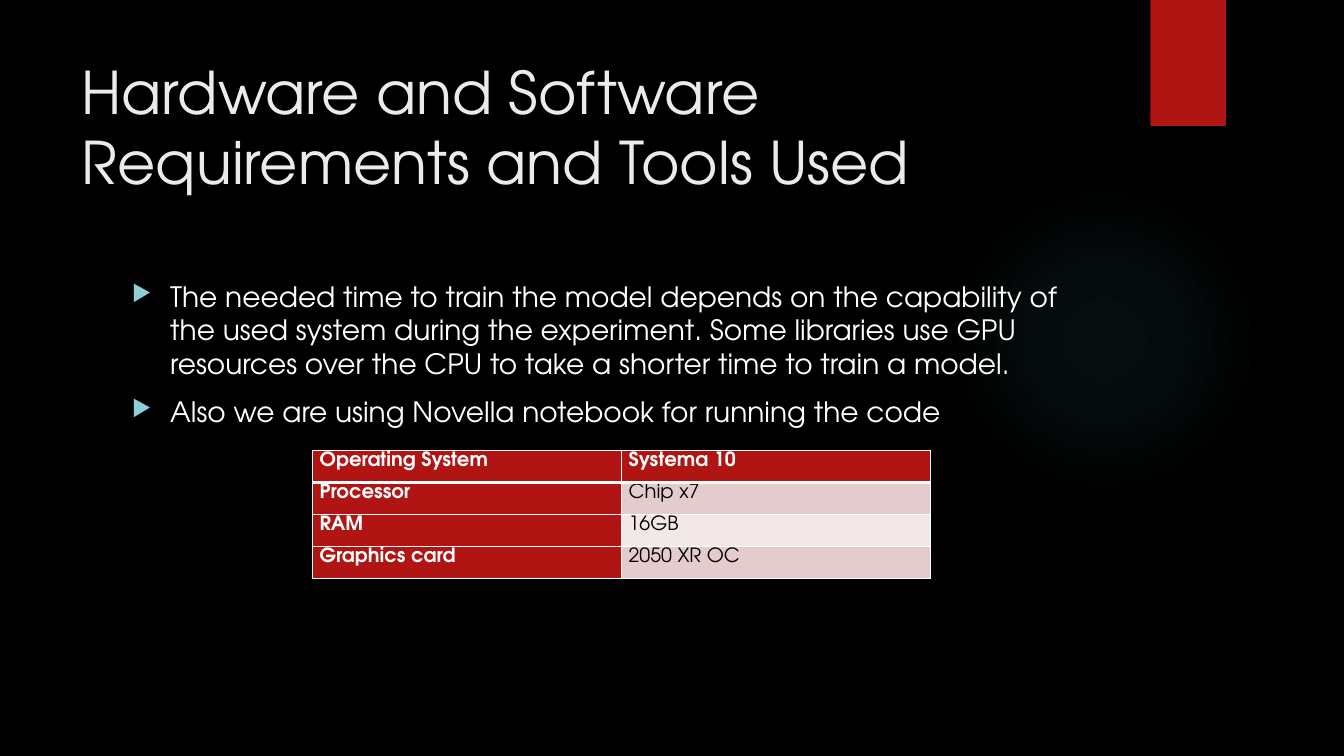
from pptx import Presentation
from pptx.dml.color import RGBColor as Rgb
from pptx.enum.shapes import MSO_SHAPE as Kind
from pptx.enum.text import MSO_ANCHOR as Anchor
from pptx.oxml import parse_xml as to_xml
from pptx.oxml.ns import nsdecls
from pptx.util import Inches, Pt

FACE = "TeX Gyre Adventor"
HUES = {
    "back": "000000", "red": "B01513", "glow": "50B9C1", "title": "EBEBEB",
    "white": "FFFFFF", "black": "000000", "mark": "8AD0D6",
    "dark": "E4CCCC", "light": "F2E8E7",
}
TITLE = "Hardware and Software Requirements and Tools Used"
POINTS = [
    "The needed time to train the model depends on the capability of the used "
    "system during the experiment. Some libraries use GPU resources over the "
    "CPU to take a shorter time to train a model.",
    "Also we are using Novella notebook for running the code",
]
ROWS = [
    ("Operating System", "Systema 10"),
    ("Processor", "Chip x7"),
    ("RAM", "16GB"),
    ("Graphics card", "2050 XR OC"),
]


def rgb(hue):
    return Rgb.from_string(HUES[hue])


def style(item, form):
    for key, value in form.items():
        setattr(item, key, value)


def write(para, text, size, hue, bold=False):
    run = para.add_run()
    run.text = text
    style(run.font, {"name": FACE, "size": Pt(size), "bold": bold})
    run.font.color.rgb = rgb(hue)


def add_plain(slide, kind, box):
    shape = slide.shapes.add_shape(kind, *map(Inches, box))
    shape.shadow.inherit = False
    shape.line.fill.background()
    return shape


def add_glow(slide, box):
    shape = add_plain(slide, Kind.OVAL, box)
    shape.fill.gradient()
    grad = shape.fill._xPr.find("{*}gradFill")
    stops = "".join(
        f'<a:gs pos="{pos}000"><a:srgbClr val="{HUES["glow"]}">'
        f'<a:alpha val="{alpha}000"/></a:srgbClr></a:gs>'
        for pos, alpha in ((0, 7), (36, 6), (69, 0), (100, 0))
    )
    fill = to_xml(
        f'<a:gradFill {nsdecls("a")}><a:gsLst>{stops}</a:gsLst>'
        '<a:path path="circle"><a:fillToRect l="50000" t="50000" '
        'r="50000" b="50000"/></a:path></a:gradFill>'
    )
    grad.getparent().replace(grad, fill)


def add_tab(slide, box):
    shape = add_plain(slide, Kind.RECTANGLE, box)
    shape.fill.solid()
    shape.fill.fore_color.rgb = rgb("red")


def add_text(slide, box):
    frame = slide.shapes.add_textbox(*map(Inches, box)).text_frame
    style(frame, {"word_wrap": True, "vertical_anchor": Anchor.TOP})
    return frame


def add_title(slide, box):
    write(add_text(slide, box).paragraphs[0], TITLE, 42, "title")


def add_mark(para):
    props = para._p.get_or_add_pPr()
    indent = Inches(0.38)
    props.set("marL", str(indent))
    props.set("indent", str(-indent))
    for part in (
        f'buClr {nsdecls("a")}><a:srgbClr val="{HUES["mark"]}"/></a:buClr',
        f'buSzPct {nsdecls("a")} val="80000"/',
        f'buChar {nsdecls("a")} char="▶"/',
    ):
        props.append(to_xml(f"<a:{part}>"))


def add_points(slide, box):
    frame = add_text(slide, box)
    for num, text in enumerate(POINTS):
        para = frame.add_paragraph() if num else frame.paragraphs[0]
        para.space_before = Pt(10)
        add_mark(para)
        write(para, text, 20, "white")


def add_edges(cell, row):
    props = cell._tc.get_or_add_tcPr()
    wide = {0: "B", 1: "T"}.get(row)
    for side in "LRTB":
        width = Pt(3 if side == wide else 1)
        props.append(to_xml(
            f'<a:ln{side} {nsdecls("a")} w="{width}"><a:solidFill>'
            f'<a:srgbClr val="{HUES["white"]}"/></a:solidFill></a:ln{side}>'
        ))


def fill_cell(cell, text, row, col):
    head = row == 0 or col == 0
    add_edges(cell, row)
    cell.fill.solid()
    band = "dark" if row % 2 else "light"
    cell.fill.fore_color.rgb = rgb("red" if head else band)
    style(cell, {
        "margin_left": Inches(0.07), "margin_right": Inches(0.07),
        "margin_top": 0, "margin_bottom": 0, "vertical_anchor": Anchor.TOP,
    })
    para = cell.text_frame.paragraphs[0]
    para.line_spacing = 1.07
    write(para, text, 14, "white" if head else "black", head)


def add_specs(slide, box):
    frame = slide.shapes.add_table(len(ROWS), 2, *map(Inches, box))
    for row, texts in enumerate(ROWS):
        for col, text in enumerate(texts):
            fill_cell(frame.table.cell(row, col), text, row, col)


def main():
    deck = Presentation()
    style(deck, {"slide_width": Inches(13.33), "slide_height": Inches(7.5)})
    slide = deck.slides.add_slide(deck.slide_layouts[6])
    slide.background.fill.solid()
    slide.background.fill.fore_color.rgb = rgb("back")
    add_glow(slide, (9.41, 1.83, 3.08, 3.08))
    add_tab(slide, (11.41, 0, 0.75, 1.25))
    add_title(slide, (0.71, 0.5, 10.29, 1.53))
    add_points(slide, (1.21, 2.72, 9.78, 4.12))
    add_specs(slide, (3.1, 4.47, 6.13, 1.27))
    deck.save("out.pptx")


if __name__ == "__main__":
    main()
